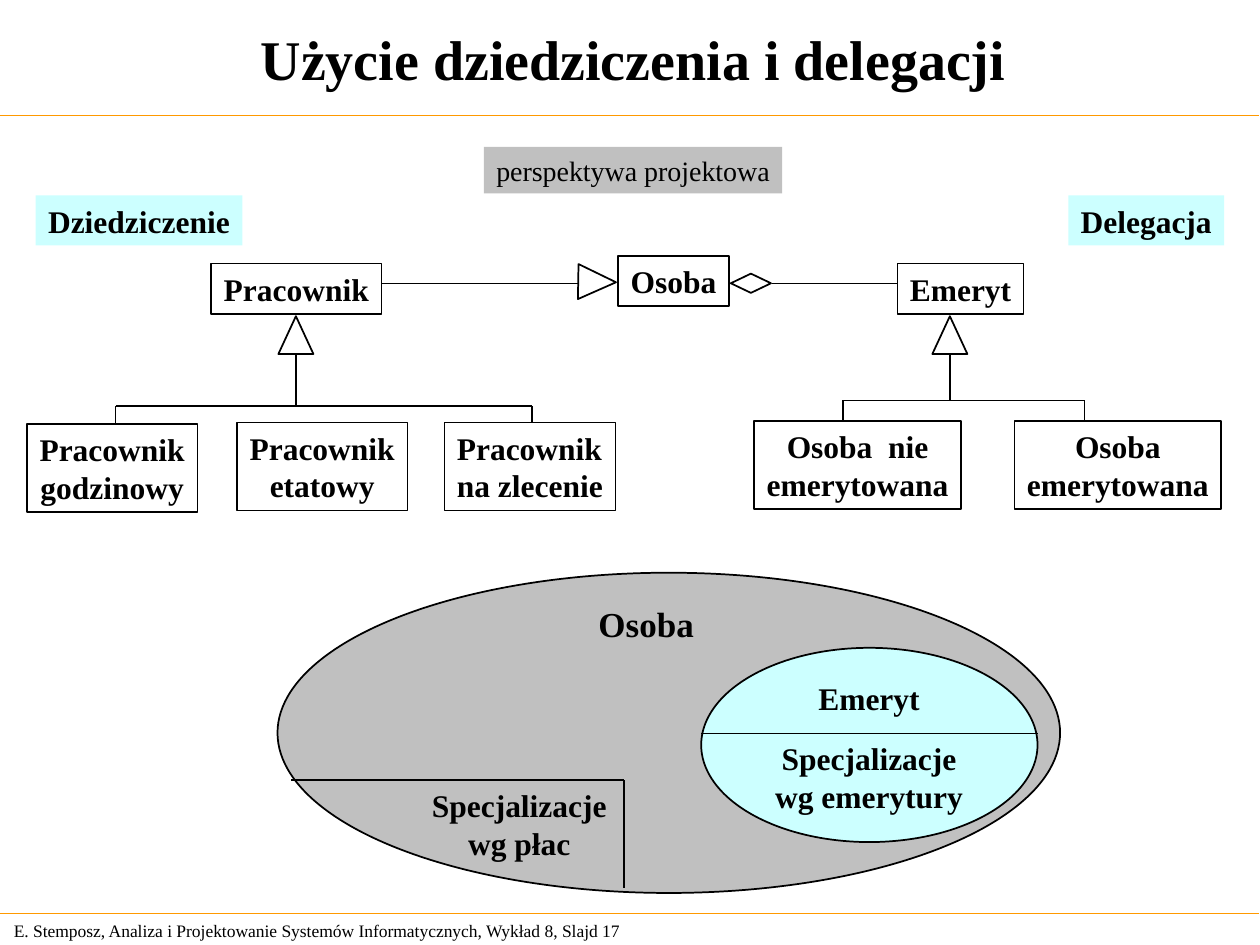
from dataclasses import dataclass

from lxml import etree
from pptx import Presentation
from pptx.dml.color import RGBColor
from pptx.enum import shapes, text
from pptx.oxml import ns
from pptx.util import Pt

PRESET = shapes.MSO_SHAPE
ALIGN = text.PP_ALIGN
ANCHOR = text.MSO_ANCHOR


@dataclass(frozen=True)
class Theme:
    font: str = "Times New Roman"
    ink: str = "000000"
    paper: str = "FFFFFF"
    aqua: str = "CCFFFF"
    grey: str = "C0C0C0"
    rule: str = "FF9900"
    heading: int = 32
    group: int = 20
    label: int = 18
    note: int = 16
    footer: int = 10
    thin: float = 0.75
    medium: float = 1


THEME = Theme()


def write(frame, content, *, size=THEME.label, bold=True, align=ALIGN.CENTER,
          anchor=ANCHOR.TOP, wrap=False, grow=True):
    frame.word_wrap = wrap
    frame.auto_size = (text.MSO_AUTO_SIZE.SHAPE_TO_FIT_TEXT if grow
                       else text.MSO_AUTO_SIZE.NONE)
    frame.vertical_anchor = anchor
    slack = 0 if wrap else 3
    frame.margin_left = Pt(7.2 - (slack if align == ALIGN.CENTER else 0))
    frame.margin_right = Pt(7.2 - slack)
    frame.margin_top = frame.margin_bottom = Pt(3.6)
    frame.text = content
    for paragraph in frame.paragraphs:
        paragraph.alignment = align
        paragraph.font.name = THEME.font
        paragraph.font.size = Pt(size)
        paragraph.font.bold = bold
        paragraph.font.color.rgb = RGBColor.from_string(THEME.ink)


class Diagram:
    def __init__(self, slide, theme):
        self.slide = slide
        self.theme = theme

    def title(self, content, left, top, width, height):
        heading = self.slide.shapes.title
        heading.left, heading.top = Pt(left), Pt(top)
        heading.width, heading.height = Pt(width), Pt(height)
        write(heading.text_frame, content, size=self.theme.heading,
              anchor=ANCHOR.MIDDLE, wrap=True, grow=False)

    def label(self, content, left, top, width, height, **style):
        label = self.slide.shapes.add_textbox(Pt(left), Pt(top), Pt(width), Pt(height))
        write(label.text_frame, content, **style)

    def shape(self, preset, left, top, width, height, fill=None, weight=None, turn=0):
        shape = self.slide.shapes.add_shape(
            preset, Pt(left), Pt(top), Pt(width), Pt(height))
        shape.shadow.inherit = False
        shape.rotation = turn
        if fill:
            shape.fill.solid()
            shape.fill.fore_color.rgb = RGBColor.from_string(fill)
        else:
            shape.fill.background()
        if weight:
            shape.line.color.rgb = RGBColor.from_string(self.theme.ink)
            shape.line.width = Pt(weight)
        else:
            shape.line.fill.background()
        return shape

    def box(self, content, left, top, width, height, fill=None, weight=None, **style):
        box = self.shape(PRESET.RECTANGLE, left, top, width, height, fill, weight)
        write(box.text_frame, content, **style)

    def line(self, x1, y1, x2, y2, weight=THEME.medium, color=THEME.ink):
        line = self.slide.shapes.add_connector(
            shapes.MSO_CONNECTOR.STRAIGHT, Pt(x1), Pt(y1), Pt(x2), Pt(y2))
        line.line.color.rgb = RGBColor.from_string(color)
        line.line.width = Pt(weight)
        etree.SubElement(line._element.spPr, ns.qn("a:effectLst"))


def draw_frame(diagram):
    for y in (66.2, 522):
        diagram.line(-0.5, y, 719.5, y, THEME.thin, THEME.rule)
    diagram.title("Użycie dziedziczenia i delegacji", 64, 0, 596, 66)
    diagram.label(
        "E. Stemposz, Analiza i Projektowanie Systemów Informatycznych, Wykład 8, Slajd 17",
        0.8, 522, 378, 19.4, size=THEME.footer, bold=False, align=ALIGN.LEFT,
        anchor=ANCHOR.MIDDLE, wrap=True)


def draw_sets(diagram):
    diagram.shape(PRESET.OVAL, 158.6, 327.3, 447.2, 183, THEME.grey, THEME.medium)
    diagram.label("Osoba", 334.9, 340.6, 69, 31.5, size=THEME.group, align=ALIGN.LEFT)
    diagram.shape(PRESET.OVAL, 400.7, 370.2, 192.2, 111, THEME.aqua, THEME.medium)
    for content, left, top, width, height in (
        ("Emeryt", 460.6, 384.5, 72, 29),
        ("Specjalizacje\nwg płac", 239.5, 445.7, 114.5, 50.4),
        ("Specjalizacje\nwg emerytury", 435.8, 419, 121.7, 50.4),
    ):
        diagram.label(content, left, top, width, height)
    diagram.line(166.5, 445.7, 356.5, 445.7)
    diagram.line(356.5, 446, 356.5, 507.5)
    diagram.line(400.5, 419.2, 593, 419.2)


def draw_hierarchy(diagram):
    triangle = PRESET.ISOSCELES_TRIANGLE
    for center, bar, ends, bottom, edge in (
        (169.1, 231.9, (66.2, 303.9), 258, (THEME.thin, THEME.medium)),
        (542.8, 228.8, (481.7, 619.7), 255.5, (THEME.medium, THEME.medium)),
    ):
        diagram.line(center, 202, center, bar, THEME.thin)
        diagram.line(ends[0], bar, ends[1], bar)
        for x, weight in zip(ends, edge):
            diagram.line(x, bar, x, bottom, weight)
        diagram.shape(triangle, center - 10, 180.7, 20, 21.6, THEME.paper, THEME.medium)

    for content, left, top, width, align in (
        ("Pracownik\ngodzinowy", 15.4, 242.2, 97.5, ALIGN.CENTER),
        ("Pracownik\netatowy", 135.4, 241.4, 97.5, ALIGN.CENTER),
        ("Pracownik\nna zlecenie", 254, 241.4, 97.8, ALIGN.LEFT),
        ("Osoba  nie\nemerytowana", 431, 240.5, 118.2, ALIGN.CENTER),
        ("Osoba\nemerytowana", 579.7, 240.5, 118.2, ALIGN.CENTER),
    ):
        diagram.box(content, left, top, width, 50.4, THEME.paper, THEME.medium,
                    align=align)

    diagram.line(216, 162, 330.5, 162, THEME.thin)
    diagram.line(441, 162, 515, 162, THEME.thin)
    diagram.shape(triangle, 331.2, 150.3, 20, 21.6, THEME.paper, THEME.medium, 91)
    diagram.shape(PRESET.DIAMOND, 417.6, 156.4, 23, 11, THEME.paper, THEME.medium)
    diagram.box("Osoba", 353.2, 146.2, 63.5, 28.8, weight=THEME.medium)
    for content, left, width in (("Pracownik", 120.6, 97.5), ("Emeryt", 512.8, 72.2)):
        diagram.box(content, left, 150.6, width, 28.8, THEME.paper, THEME.thin,
                    anchor=ANCHOR.MIDDLE)


def draw_captions(diagram):
    for content, left, width in (("Dziedziczenie", 20.4, 118.2), ("Delegacja", 610.5, 89)):
        diagram.box(content, left, 111.6, width, 28.6, THEME.aqua, align=ALIGN.LEFT)
    diagram.box("perspektywa projektowa", 276.5, 84, 170.5, 26.6, THEME.grey,
                size=THEME.note, bold=False, align=ALIGN.LEFT)


def main():
    deck = Presentation()
    deck.slide_width, deck.slide_height = Pt(720), Pt(540)
    diagram = Diagram(deck.slides.add_slide(deck.slide_layouts[5]), THEME)
    draw_frame(diagram)
    draw_captions(diagram)
    draw_sets(diagram)
    draw_hierarchy(diagram)
    deck.save("out.pptx")


if __name__ == "__main__":
    main()
